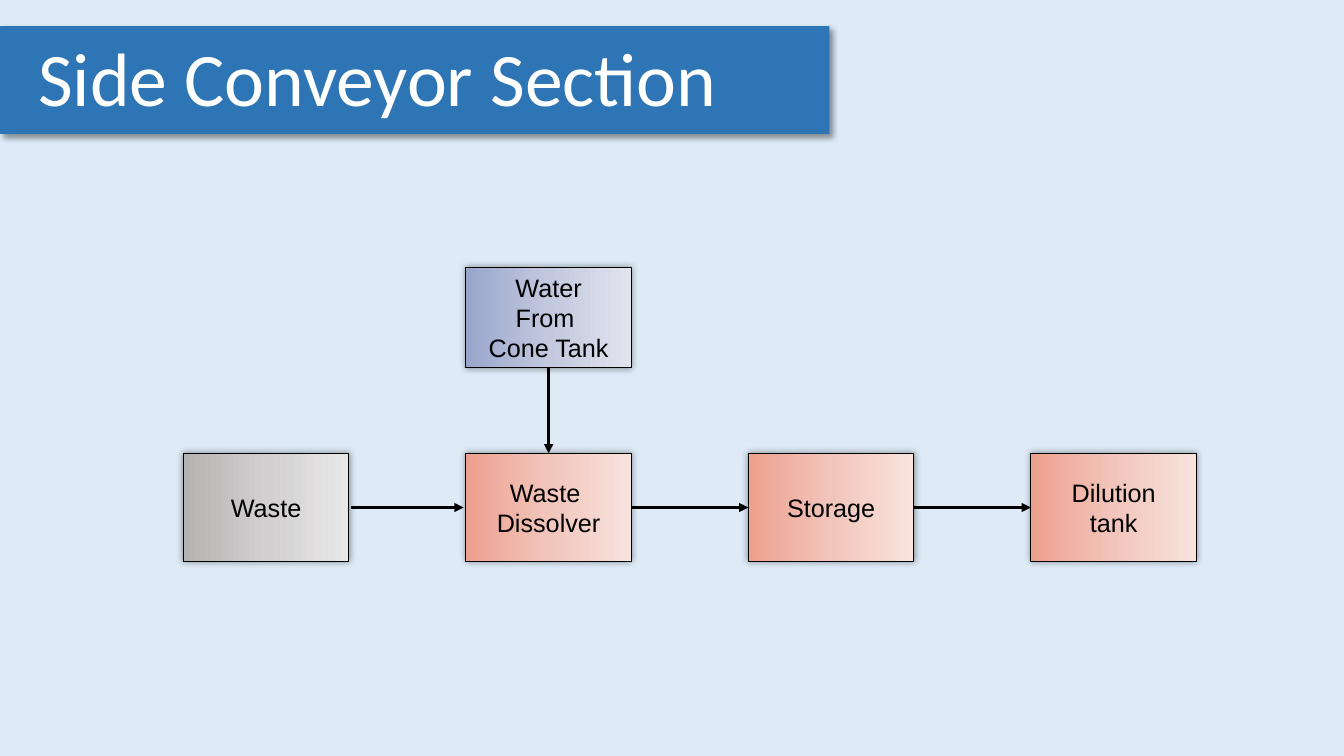
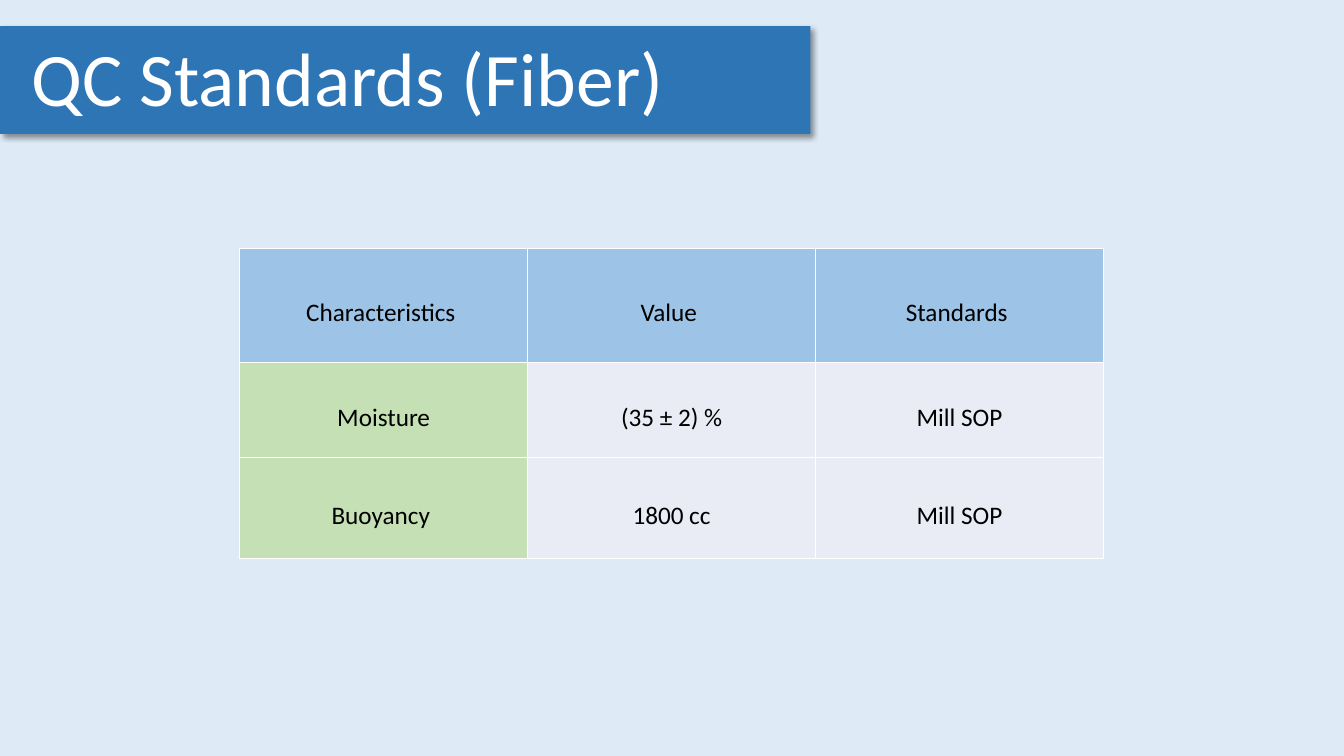
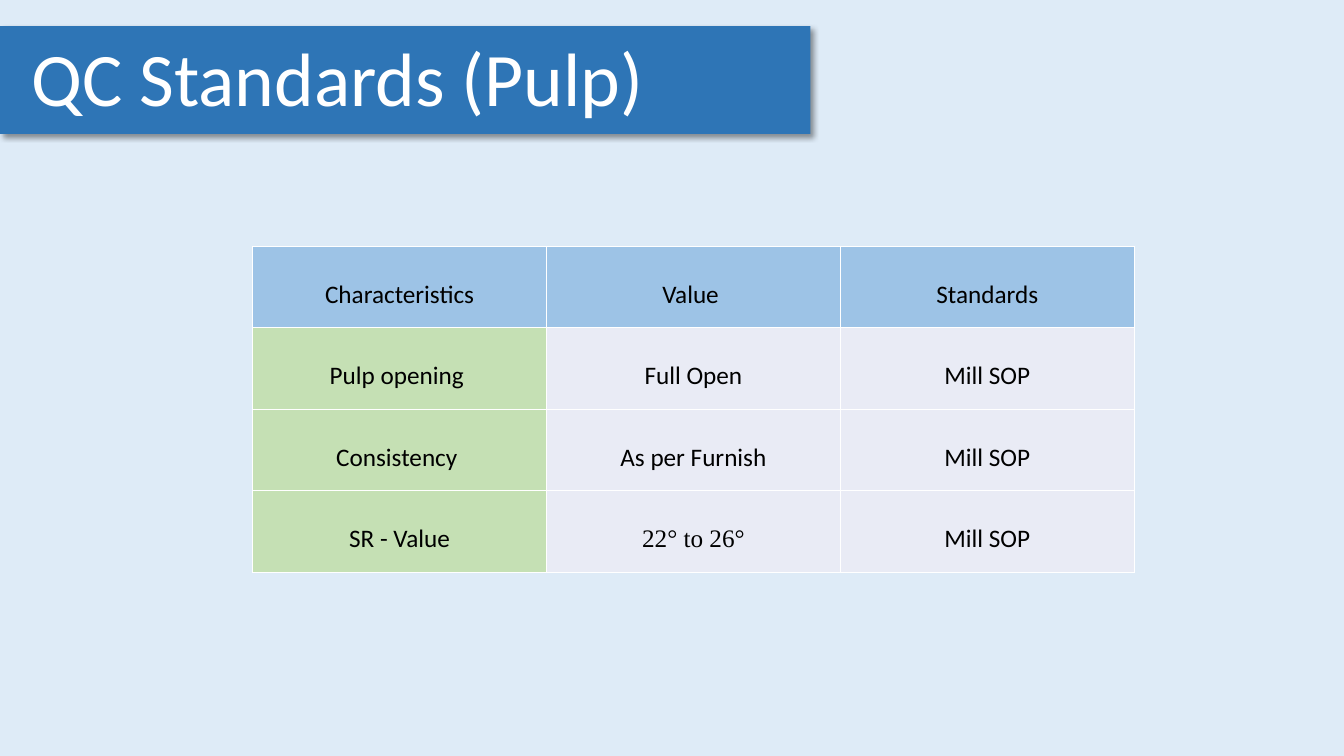
import copy
import dataclasses

import lxml.etree
import pptx
import pptx.dml.color
import pptx.enum.shapes
import pptx.enum.text
import pptx.oxml
import pptx.oxml.ns
import pptx.util

Pt = pptx.util.Pt
qn = pptx.oxml.ns.qn
Kind = pptx.enum.shapes.MSO_SHAPE
Align = pptx.enum.text.PP_ALIGN
Anchor = pptx.enum.text.MSO_ANCHOR

# Shared look
HUES = {
    "page": "DEEBF7", "band": "2E75B6", "white": "FFFFFF", "black": "000000",
    "head": "9DC3E6", "label": "C5E0B4", "body": "E9EBF5",
}
FADES = {
    "gray": ("B5B2B2", "D1CFCF", "E8E7E7"),
    "red": ("EDA08E", "F2C5BB", "F8E3DE"),
    "blue": ("99A5CC", "C2C8DE", "E1E4EE"),
}
BAND_TOP, BAND_HIGH = 18.7, 77

# Flow chart grid
LEFT, STEP, WIDE = 131, 201.8, 118.2
ROW_TOP, ROW_HIGH = 323.9, 77.2


@dataclasses.dataclass
class Head:
    text: str
    band: float
    left: float
    wide: float
    align: Align = Align.LEFT


@dataclasses.dataclass
class Box:
    text: str
    col: int
    fade: str
    top: float = ROW_TOP
    high: float = ROW_HIGH


@dataclasses.dataclass
class Grid:
    left: float
    top: float
    col: float
    rows: list[float]
    cells: list[list[str]]


def rgb(name: str) -> pptx.dml.color.RGBColor:
    return pptx.dml.color.RGBColor.from_string(HUES.get(name, name))


def style(frame, size: float, font: str, hue: str, align: Align) -> None:
    for par in frame.paragraphs:
        par.alignment = align
        for run in par.runs:
            run.font.size = Pt(size)
            run.font.name = font
            run.font.color.rgb = rgb(hue)


def shade(shape, blur: float, dist: float, turn: int) -> None:
    """Give the shape a soft black shadow; turn is in degrees."""
    shape.shadow.inherit = False
    glow = shape.element.spPr.find(qn("a:effectLst"))
    glow.append(pptx.oxml.parse_xml(
        f'<a:outerShdw {pptx.oxml.ns.nsdecls("a")} blurRad="{Pt(blur)}" '
        f'dist="{Pt(dist)}" dir="{turn * 60000}" algn="ctr" rotWithShape="0">'
        f'<a:srgbClr val="{HUES["black"]}"><a:alpha val="40000"/></a:srgbClr>'
        '</a:outerShdw>'))


def start(deck, head: Head):
    """Add a slide with its title on a band."""
    slide = deck.slides.add_slide(deck.slide_layouts[5])
    band = slide.shapes.add_shape(
        Kind.RECTANGLE, 0, Pt(BAND_TOP), Pt(head.band), Pt(BAND_HIGH))
    band.fill.solid()
    band.fill.fore_color.rgb = rgb("band")
    band.line.fill.background()
    shade(band, 4, 3, 45)

    title = slide.shapes.title
    title.element.addprevious(band.element)
    title.left, title.top = Pt(head.left), Pt(BAND_TOP)
    title.width, title.height = Pt(head.wide), Pt(72.7)
    frame = title.text_frame
    frame.text = head.text
    frame.word_wrap = True
    frame.auto_size = pptx.enum.text.MSO_AUTO_SIZE.SHAPE_TO_FIT_TEXT
    frame.vertical_anchor = Anchor.TOP
    style(frame, 54, "Calibri", "white", head.align)
    return slide


def draw_box(slide, box: Box):
    shape = slide.shapes.add_shape(
        Kind.FLOWCHART_PROCESS, Pt(LEFT + box.col * STEP), Pt(box.top),
        Pt(WIDE), Pt(box.high))
    shape.fill.gradient()
    shape.fill.gradient_angle = 0
    stops = shape.element.spPr.find(".//" + qn("a:gsLst"))
    stops.insert(1, copy.deepcopy(stops[0]))
    for i, stop in enumerate(shape.fill.gradient_stops):
        stop.position = i / 2
        stop.color.rgb = rgb(FADES[box.fade][i])
    shape.line.color.rgb = rgb("black")
    shape.line.width = Pt(0.75)
    shade(shape, 5, 0, 0)

    frame = shape.text_frame
    frame.text = box.text
    frame.word_wrap = False
    frame.vertical_anchor = Anchor.MIDDLE
    frame.margin_left = frame.margin_right = 0
    frame.margin_top = frame.margin_bottom = 0
    style(frame, 18, "Arial", "black", Align.CENTER)
    return shape


def draw_arrow(slide, x1: float = 0, y1: float = 0, x2: float = 0, y2: float = 0):
    arrow = slide.shapes.add_connector(
        pptx.enum.shapes.MSO_CONNECTOR.STRAIGHT, Pt(x1), Pt(y1), Pt(x2), Pt(y2))
    arrow.line.color.rgb = rgb("black")
    arrow.line.width = Pt(2.25)
    props = arrow.element.spPr
    lxml.etree.SubElement(props.find(qn("a:ln")), qn("a:tailEnd"), type="triangle")
    lxml.etree.SubElement(props, qn("a:effectLst"))
    return arrow


def join(slide, a, side: int, b, end: int) -> None:
    arrow = draw_arrow(slide)
    arrow.begin_connect(a, side)
    arrow.end_connect(b, end)


def edge(props) -> None:
    """Draw white borders round a cell."""
    for i, tag in enumerate(("lnL", "lnR", "lnT", "lnB")):
        props.insert(i, pptx.oxml.parse_xml(
            f'<a:{tag} {pptx.oxml.ns.nsdecls("a")} w="{Pt(1)}"><a:solidFill>'
            f'<a:srgbClr val="{HUES["white"]}"/></a:solidFill></a:{tag}>'))


def draw_grid(slide, grid: Grid) -> None:
    cols = len(grid.cells[0])
    shape = slide.shapes.add_table(
        len(grid.rows), cols, Pt(grid.left), Pt(grid.top),
        Pt(grid.col * cols), Pt(sum(grid.rows)))
    table = shape.table
    table.first_row = table.horz_banding = False
    for col in table.columns:
        col.width = Pt(grid.col)
    for r, texts in enumerate(grid.cells):
        table.rows[r].height = Pt(grid.rows[r])
        for c, text in enumerate(texts):
            cell = table.cell(r, c)
            cell.fill.solid()
            cell.fill.fore_color.rgb = rgb(
                "head" if r == 0 else "label" if c == 0 else "body")
            cell.vertical_anchor = Anchor.MIDDLE
            cell.margin_left = cell.margin_right = Pt(5)
            cell.margin_top = cell.margin_bottom = Pt(5)
            cell.text_frame.text = text
            par = cell.text_frame.paragraphs[0]
            par.line_spacing = 1.5
            par.space_after = Pt(8)
            font = "Times New Roman" if "°" in text else "Calibri"
            style(cell.text_frame, 18, font, "black", Align.CENTER)
    for props in shape.element.iter(qn("a:tcPr")):
        edge(props)


def main() -> None:
    deck = pptx.Presentation()
    deck.slide_width, deck.slide_height = Pt(960), Pt(540)
    fill = deck.slide_master.background.fill
    fill.solid()
    fill.fore_color.rgb = rgb("page")

    # Side conveyor flow
    slide = start(deck, Head("Side Conveyor Section", 592.5, 17.3, 504.7, Align.CENTER))
    waste, mix, store, thin, water = [draw_box(slide, box) for box in (
        Box("Waste", 0, "gray"),
        Box("Waste \nDissolver", 1, "red"),
        Box("Storage", 2, "red"),
        Box("Dilution\ntank", 3, "red"),
        Box("Water\nFrom \nCone Tank", 1, "blue", 190.8, 71.8),
    )]
    join(slide, water, 2, mix, 0)
    mid = ROW_TOP + ROW_HIGH / 2
    draw_arrow(slide, 250.6, mid, 331.2, mid)
    join(slide, mix, 3, store, 1)
    join(slide, store, 3, thin, 1)

    # Quality tables
    names = ["Characteristics ", "Value ", "Standards "]
    rule = "Mill SOP"
    tables = {
        "Fiber": Grid(171.2, 177.6, 205.7, [81.3, 68, 72], [
            names,
            ["Moisture", "(35 ± 2) %", rule],
            ["Buoyancy ", "1800 cc", rule],
        ]),
        "Pulp": Grid(180.5, 176, 209.9, [58.2] * 4, [
            [names[0].strip(), names[1], names[2].strip()],
            ["Pulp opening ", "Full Open", rule],
            ["Consistency ", "As per Furnish", rule],
            ["SR - Value", "22° to 26°", rule],
        ]),
    }
    for name, grid in tables.items():
        slide = start(deck, Head(f"QC Standards ({name})", 578.8, 15.1, 502.6))
        draw_grid(slide, grid)

    deck.save("out.pptx")


if __name__ == "__main__":
    main()
